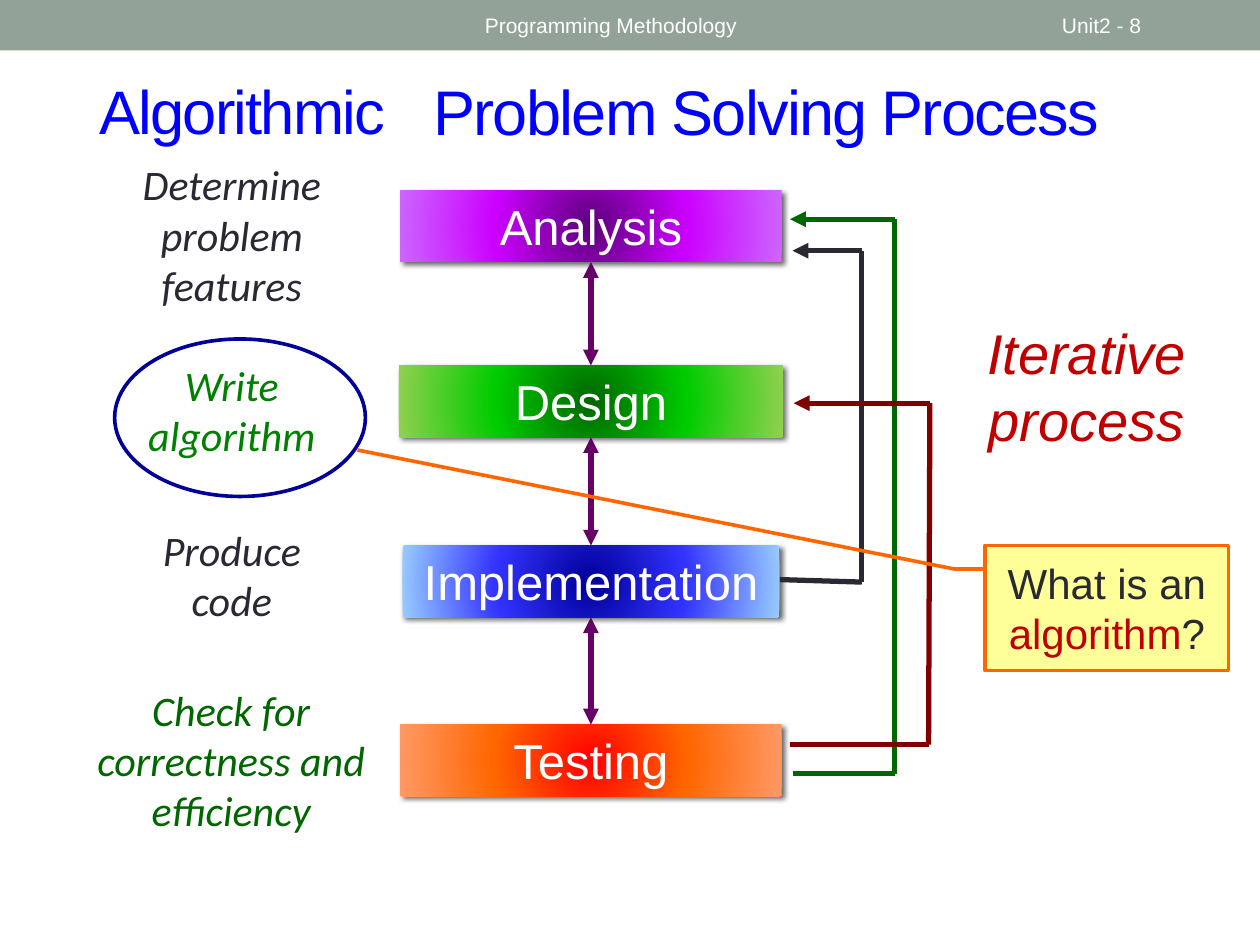
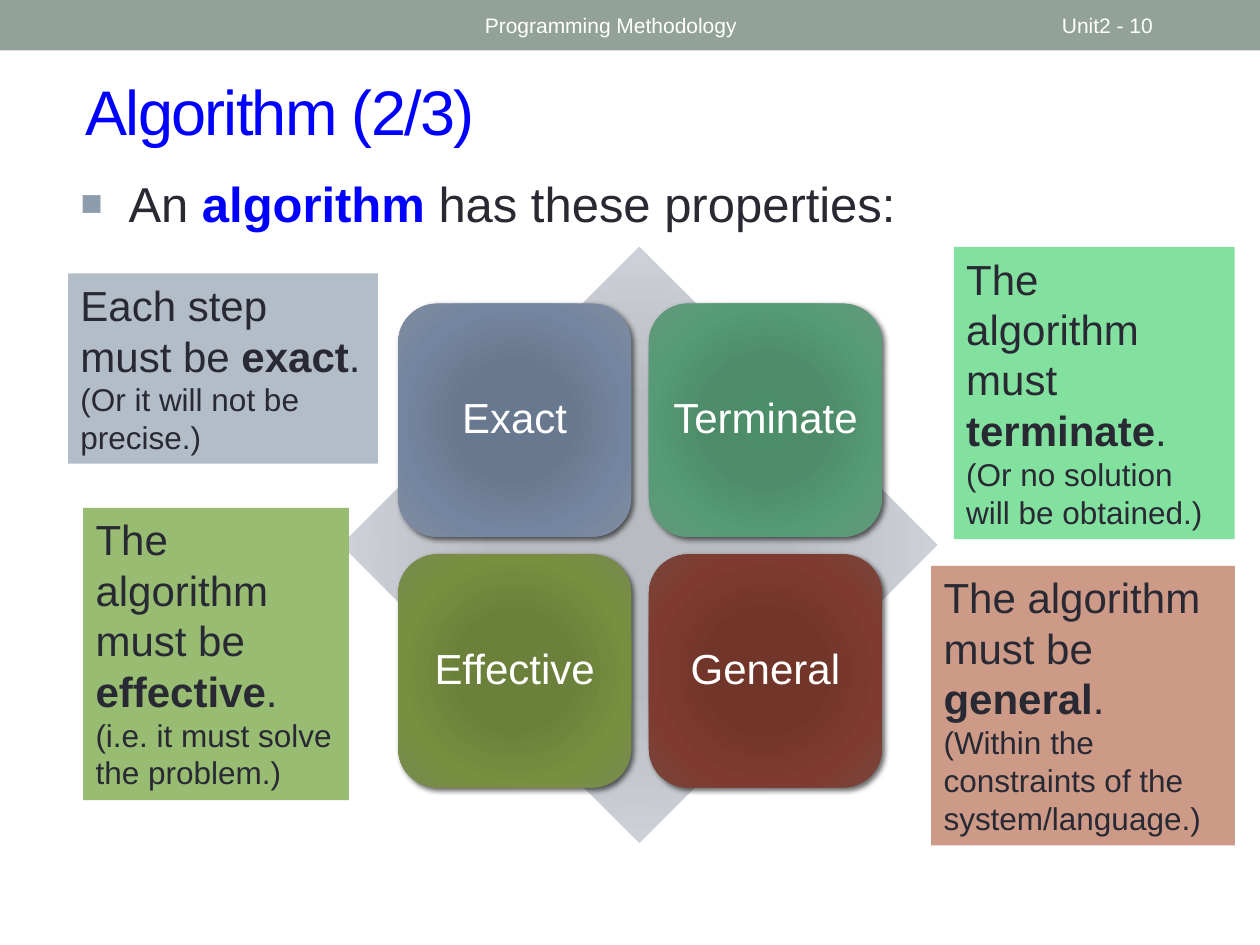
import collections
import dataclasses

import pptx
import pptx.dml.color
import pptx.enum.shapes
import pptx.enum.text
import pptx.oxml
import pptx.oxml.ns
import pptx.util

Inches = pptx.util.Inches
Pt = pptx.util.Pt
SHAPE = pptx.enum.shapes.MSO_SHAPE
ALIGN = pptx.enum.text.PP_ALIGN
ANCHOR = pptx.enum.text.MSO_ANCHOR
NAMESPACE = pptx.oxml.ns.nsdecls("a")

INK, WHITE, TITLE_BLUE, BAND = "292934", "FFFFFF", "0000FF", "93A299"
GREEN, MAROON, RED, PURPLE, ORANGE = "006600", "800000", "C00000", "660066", "FF6600"

Stage = collections.namedtuple("Stage", "name top width stops")
Property = collections.namedtuple("Property", "name stops")


@dataclasses.dataclass
class Box:
    left: float
    top: float
    width: float
    height: float

    def inner(self, left, top, width, height):
        return Box(self.left + left, self.top + top, width, height)

    def emu(self):
        return [Inches(v) for v in (self.left, self.top, self.width, self.height)]


@dataclasses.dataclass
class Span:
    text: str
    size: float = 24
    color: str = INK
    font: str = "Arial"
    bold: bool = False
    italic: bool = False
    spacing: int = 0


def rgb(value):
    return pptx.dml.color.RGBColor.from_string(value)


# Text
def write(frame, paragraphs, align=ALIGN.LEFT, anchor=ANCHOR.TOP):
    """Fill a frame; each paragraph is a list of spans."""
    frame.word_wrap = True
    frame.auto_size = pptx.enum.text.MSO_AUTO_SIZE.NONE
    frame.vertical_anchor = anchor
    for index, spans in enumerate(paragraphs):
        para = frame.add_paragraph() if index else frame.paragraphs[0]
        para.alignment = align
        for span in spans:
            run = para.add_run()
            run.text = span.text
            font = run.font
            font.size, font.name = Pt(span.size), span.font
            font.bold, font.italic = span.bold, span.italic
            font.color.rgb = rgb(span.color)
            if span.spacing:
                run._r.get_or_add_rPr().set("spc", str(span.spacing * 100))


def add_text(page, box, spans, **layout):
    write(page.shapes.add_textbox(*box.emu()).text_frame, [spans], **layout)


def fill_placeholder(holder, box, spans, **layout):
    holder.left, holder.top, holder.width, holder.height = box.emu()
    write(holder.text_frame, [spans], **layout)


def set_bullet(para, mark, color, percent, indent):
    props = para._p.get_or_add_pPr()
    props.set("marL", str(Inches(indent)))
    props.set("indent", str(-Inches(indent)))
    for xml in (f'<a:buClr {NAMESPACE}><a:srgbClr val="{color}"/></a:buClr>',
                f'<a:buSzPct {NAMESPACE} val="{percent * 1000}"/>',
                f'<a:buFont {NAMESPACE} typeface="Arial"/>',
                f'<a:buChar {NAMESPACE} char="{mark}"/>'):
        props.append(pptx.oxml.parse_xml(xml))


# Shapes and lines
def add_shape(page, kind, box, fill=None, line=None):
    shape = page.shapes.add_shape(kind, *box.emu())
    shape.shadow.inherit = False
    if fill:
        shape.fill.solid()
        shape.fill.fore_color.rgb = rgb(fill)
    else:
        shape.fill.background()
    if line:
        shape.line.color.rgb = rgb(line)
        shape.line.width = Pt(2.08)
    else:
        shape.line.fill.background()
    return shape


def add_radial_shape(page, kind, box, stops, shadow=True):
    """Add a shape shaded from its centre; stops are (percent, colour)."""
    shape = add_shape(page, kind, box, stops[0][1])
    colors = "".join(f'<a:gs pos="{place * 1000}"><a:srgbClr val="{color}"/></a:gs>'
                     for place, color in stops)
    gradient = pptx.oxml.parse_xml(
        f'<a:gradFill {NAMESPACE} rotWithShape="1"><a:gsLst>{colors}</a:gsLst>'
        '<a:path path="circle"><a:fillToRect l="50000" t="50000" r="50000" b="50000"/>'
        '</a:path></a:gradFill>')
    props = shape._element.spPr
    props.replace(props.find(pptx.oxml.ns.qn("a:solidFill")), gradient)
    if shadow:
        props.find(pptx.oxml.ns.qn("a:effectLst")).append(pptx.oxml.parse_xml(
            f'<a:outerShdw {NAMESPACE} blurRad="{Pt(3)}" dist="{Pt(2)}" dir="2700000" '
            'algn="tl" rotWithShape="0"><a:srgbClr val="000000">'
            '<a:alpha val="60000"/></a:srgbClr></a:outerShdw>'))
    return shape


def add_line(page, start, end, color, ends=()):
    """Add a 3 pt line; ends lists the ends with arrowheads."""
    line = page.shapes.add_connector(
        pptx.enum.shapes.MSO_CONNECTOR.STRAIGHT, *[Inches(v) for v in (*start, *end)])
    line.line.color.rgb = rgb(color)
    line.line.width = Pt(3)
    props = line._element.spPr
    stroke = props.find(pptx.oxml.ns.qn("a:ln"))
    for name in ends:
        stroke.append(pptx.oxml.parse_xml(f'<a:{name} {NAMESPACE} type="triangle"/>'))
    props.append(pptx.oxml.parse_xml(f"<a:effectLst {NAMESPACE}/>"))


# Shared header and title
def start_page(deck, layout, number, title, title_box):
    page = deck.slides.add_slide(deck.slide_layouts[layout])
    add_shape(page, SHAPE.RECTANGLE, Box(0, 0, 10, 0.4), BAND)
    for text, left, width in (("Programming Methodology", 3.75, 4.5),
                              (f"Unit2 - {number}", 8.33, 1.17)):
        add_text(page, Box(left, 0.02, width, 0.36), [Span(text, 12, WHITE)],
                 anchor=ANCHOR.MIDDLE)
    fill_placeholder(page.shapes.title, title_box,
                     [Span(title, 36, TITLE_BLUE, spacing=-1)], anchor=ANCHOR.MIDDLE)
    return page


# Process slide
STAGES = [
    Stage("Analysis", 0, 3.03, [(0, "5B0079"), (50, "CC00FF"), (100, "CC66FF")]),
    Stage("Design", 1.39, 3.05, [(0, "006600"), (50, "00CC00"), (100, "92D050")]),
    Stage("Implementation", 2.82, 2.99, [(0, "000099"), (50, "3333FF"), (100, "99CCFF")]),
    Stage("Testing", 4.24, 3.03, [(0, "FF0000"), (50, "FF6600"), (100, "FF9966")]),
]
LOOPS = [
    (INK, [(3.02, 3.09), (3.67, 3.11), (3.67, 0.48), (3.12, 0.48)]),
    (GREEN, [(3.12, 4.63), (3.93, 4.63), (3.93, 0.23), (3.1, 0.23)]),
    (MAROON, [(3.1, 4.4), (4.2, 4.4), (4.21, 1.69), (3.13, 1.69)]),
]


def draw_stages(page, box):
    height, middle = 0.57, 1.52
    for stage in STAGES:
        place = box.inner(middle - stage.width / 2, stage.top, stage.width, height)
        bar = add_radial_shape(page, SHAPE.RECTANGLE, place, stage.stops)
        write(bar.text_frame, [[Span(stage.name, 28, WHITE)]], ALIGN.CENTER)
    for upper, lower in zip(STAGES, STAGES[1:]):
        x = box.left + middle
        add_line(page, (x, box.top + upper.top + height), (x, box.top + lower.top),
                 PURPLE, ("headEnd", "tailEnd"))


def draw_loops(page, box):
    for color, points in LOOPS:
        corners = [(box.left + x, box.top + y) for x, y in points]
        for start, end in zip(corners, corners[1:]):
            add_line(page, start, end, color, ("tailEnd",) if end == corners[-1] else ())


def draw_stage_notes(page, box):
    for text, color, place in (
            ("Determine problem features", INK, (0.18, 0, 2.42, 1.31)),
            ("Write algorithm", "008000", (0.22, 1.59, 2.34, 0.91)),
            ("Produce code", INK, (0.46, 2.9, 1.86, 0.91)),
            ("Check for correctness and efficiency", GREEN, (0, 4.17, 2.77, 1.31))):
        add_text(page, box.inner(*place), [Span(text, 24, color, "Calibri", italic=True)],
                 align=ALIGN.CENTER)
    add_shape(page, SHAPE.OVAL, box.inner(0.46, 1.48, 1.99, 1.25), line="000099")


def draw_question(page, box):
    callout = add_shape(page, SHAPE.LINE_CALLOUT_2, box, "FFFF99", ORANGE)
    for index, value in enumerate((0.188, 0.002, 0.188, -0.128, -0.766, -2.582)):
        callout.adjustments[index] = value
    write(callout.text_frame,
          [[Span("What is an "), Span("algorithm", color=RED), Span("?")]],
          ALIGN.CENTER, ANCHOR.MIDDLE)


def build_process_slide(deck):
    page = start_page(deck, 5, 8, "Problem Solving Process", Box(3.34, 0.5, 6.12, 0.75))
    add_text(page, Box(0.69, 0.5, 3.26, 0.75),
             [Span("Algorithmic", 35.1, TITLE_BLUE, spacing=-1)], anchor=ANCHOR.MIDDLE)
    chart = Box(3.17, 1.51, 4.21, 4.81)
    draw_stages(page, chart)
    draw_loops(page, chart)
    add_text(page, Box(7.5, 2.48, 2.25, 1.18),
             [Span("Iterative process", 32, RED, italic=True)], align=ALIGN.CENTER)
    draw_stage_notes(page, Box(0.45, 1.21, 2.77, 5.48))
    draw_question(page, Box(7.82, 4.33, 1.93, 0.99))


# Properties slide
def shades(*colors):
    return list(zip((0, 34, 70, 100), colors))


PROPERTIES = [
    Property("Exact", shades("677790", "68788E", "74869F", "808DA0")),
    Property("Terminate", shades("4B8E69", "4D8B69", "569B75", "64987C")),
    Property("Effective", shades("6C8238", "6B803A", "788F41", "788A50")),
    Property("General", shades("743327", "72352A", "7F3B2F", "79463D")),
]


def draw_matrix(page, box):
    """A diamond with a two by two grid of tiles on it."""
    add_radial_shape(page, SHAPE.DIAMOND, box,
                     shades("B7BBC1", "B8BBC0", "CDD1D7", "D8DBDF"), shadow=False)
    side, step, margin = 1.85, 1.99, 0.45
    for index, item in enumerate(PROPERTIES):
        row, column = divmod(index, 2)
        place = box.inner(margin + column * step, margin + row * step, side, side)
        tile = add_radial_shape(page, SHAPE.ROUNDED_RECTANGLE, place, item.stops)
        frame = tile.text_frame
        frame.margin_left = frame.margin_right = Inches(0.1)
        frame.margin_top = frame.margin_bottom = Inches(0.1)
        write(frame, [[Span(item.name, 24, WHITE)]], ALIGN.CENTER, ANCHOR.MIDDLE)
        frame.paragraphs[0].line_spacing = 0.9


def draw_note(page, box, fill, lead, key, remark, same_paragraph=False):
    rule = [Span(lead), Span(key, bold=True), Span(". " if same_paragraph else ".")]
    detail = [Span(remark, 18)]
    note = add_shape(page, SHAPE.RECTANGLE, box, fill)
    write(note.text_frame, [rule + detail] if same_paragraph else [rule, detail])


def build_properties_slide(deck):
    page = start_page(deck, 1, 10, "Algorithm (2/3)", Box(0.58, 0.5, 8.92, 0.75))
    body = page.placeholders[1]
    fill_placeholder(body, Box(0.54, 1.33, 8.63, 0.8),
                     [Span("An ", 28), Span("algorithm", 28, TITLE_BLUE, bold=True),
                      Span(" has these properties:", 28)])
    para = body.text_frame.paragraphs[0]
    para.space_before = Pt(12)
    set_bullet(para, "\u25a0", "8C9CAD", 75, 0.38)
    draw_matrix(page, Box(2.71, 1.96, 4.73, 4.73))
    draw_note(page, Box(0.54, 2.17, 2.46, 1.51), "B3BDC8", "Each step must be ", "exact",
              "(Or it will not be precise.)", same_paragraph=True)
    draw_note(page, Box(7.57, 1.96, 2.23, 2.32), "83E1A0", "The algorithm must ",
              "terminate", "(Or no solution will be obtained.)")
    draw_note(page, Box(0.66, 4.03, 2.11, 2.32), "97BC72", "The algorithm must be ",
              "effective", "(i.e. it must solve the problem.)")
    draw_note(page, Box(7.39, 4.49, 2.41, 2.22), "CC9A86", "The algorithm must be ",
              "general", "(Within the constraints of the system/language.)")


deck = pptx.Presentation()
deck.slide_width, deck.slide_height = Inches(10), Inches(7.5)
build_process_slide(deck)
build_properties_slide(deck)
deck.save("out.pptx")
